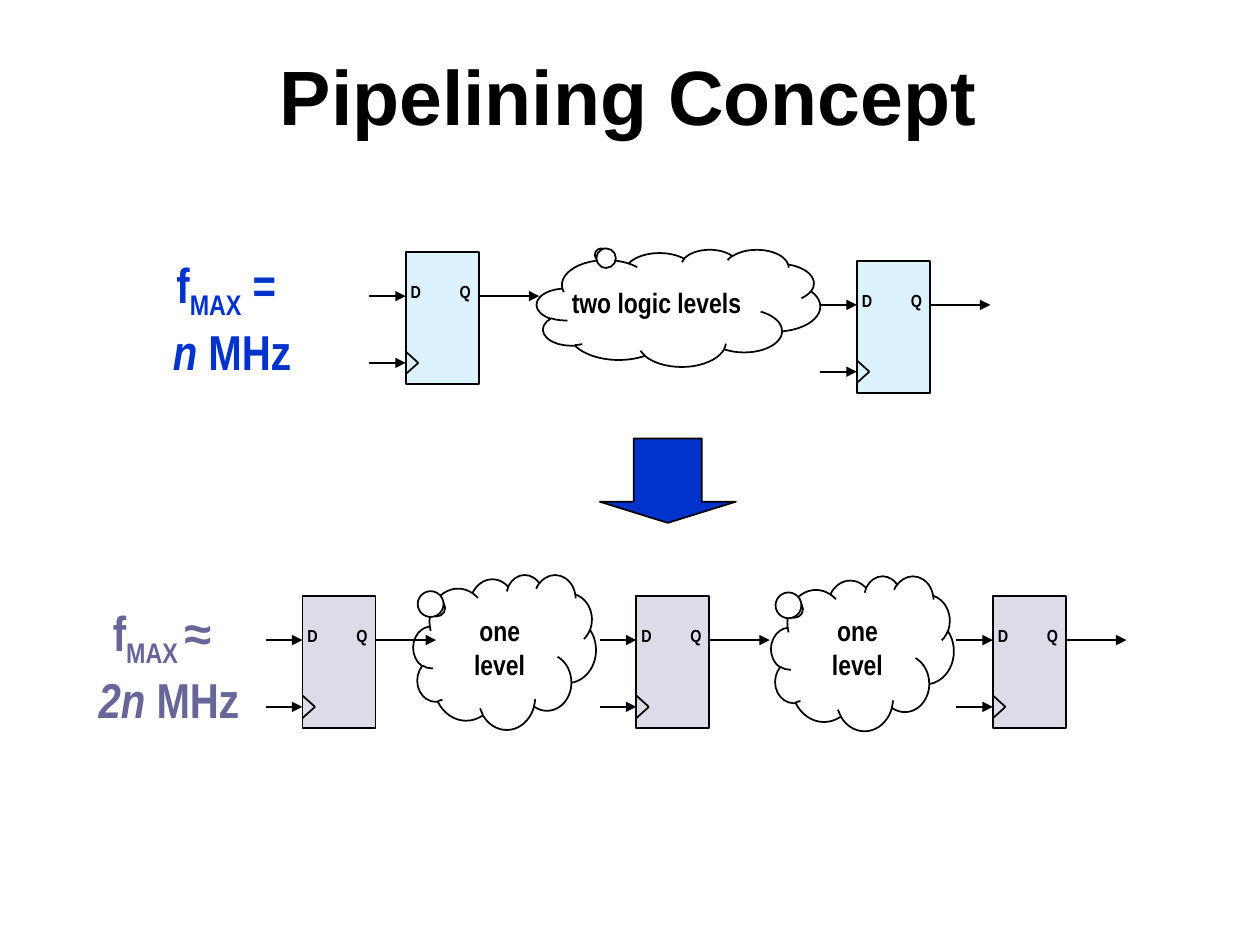
from dataclasses import dataclass

from lxml import etree
from pptx import Presentation
from pptx.dml.color import RGBColor
from pptx.enum.shapes import MSO_CONNECTOR, MSO_SHAPE
from pptx.enum.text import MSO_ANCHOR, PP_ALIGN
from pptx.oxml.ns import qn
from pptx.util import Inches, Pt

STRAIGHT = MSO_CONNECTOR.STRAIGHT
RECTANGLE = MSO_SHAPE.RECTANGLE
CLOUD = MSO_SHAPE.CLOUD_CALLOUT
DOWN_ARROW = MSO_SHAPE.DOWN_ARROW
LEFT = PP_ALIGN.LEFT
CENTER = PP_ALIGN.CENTER
TOP = MSO_ANCHOR.TOP
MIDDLE = MSO_ANCHOR.MIDDLE


@dataclass(frozen=True)
class Theme:
    """Colours, fonts and type sizes of the deck."""
    ink: str = "000000"
    paper: str = "FFFFFF"
    blue: str = "0033CC"
    violet: str = "666699"
    pale_blue: str = "DDF2FF"
    pale_violet: str = "DCDCE8"
    heading: str = "Arial"
    narrow: str = "Arial Narrow"
    title_size: int = 44
    rate_size: int = 28
    cloud_size: int = 16
    pin_size: int = 10
    line_width: int = 1


class DiagramBuilder:
    """Draws the pipeline diagram's elements on one slide."""

    def __init__(self, slide, theme):
        self.slide = slide
        self.theme = theme

    def add_span(self, para, text, size, color, font, italic=False, baseline=0):
        span = para.add_run()
        span.text = text
        span.font.size = Pt(size)
        span.font.name = font
        span.font.bold = True
        span.font.italic = italic
        span.font.color.rgb = RGBColor.from_string(color)
        if baseline:
            span.font._element.set("baseline", str(baseline * 1000))

    def add_title(self, text):
        title = self.slide.shapes.title
        title.left, title.top = Inches(0.66), Inches(0.21)
        title.width, title.height = Inches(8.66), Inches(1.08)
        title.text_frame.vertical_anchor = MIDDLE
        para = title.text_frame.paragraphs[0]
        para.alignment = CENTER
        self.add_span(para, text, self.theme.title_size, self.theme.ink, self.theme.heading)

    def add_box(self, left, top, width, height, wrap=False):
        box = self.slide.shapes.add_textbox(
            Inches(left), Inches(top), Inches(width), Inches(height))
        box.text_frame.word_wrap = wrap
        box.text_frame.vertical_anchor = TOP
        return box.text_frame

    def add_label(self, text, left, top, width, height, size, align=CENTER, wrap=False):
        para = self.add_box(left, top, width, height, wrap).paragraphs[0]
        para.alignment = align
        self.add_span(para, text, size, self.theme.ink, self.theme.narrow)

    def add_rate(self, left, top, width, color, subscript, relation, relation_font, factor):
        theme = self.theme
        frame = self.add_box(left, top, width, 1.1)
        formula, value = frame.paragraphs[0], frame.add_paragraph()
        formula.alignment = value.alignment = CENTER
        self.add_span(formula, "f", theme.rate_size, color, theme.narrow)
        self.add_span(formula, subscript, theme.rate_size, color, theme.narrow, baseline=-25)
        self.add_span(formula, relation, theme.rate_size, color, relation_font)
        self.add_span(value, factor, theme.rate_size, color, theme.narrow, italic=True)
        self.add_span(value, "MHz", theme.rate_size, color, theme.narrow)

    def add_shape(self, kind, left, top, width, height, fill, adjustments=()):
        shape = self.slide.shapes.add_shape(
            kind, Inches(left), Inches(top), Inches(width), Inches(height))
        shape.shadow.inherit = False
        shape.fill.solid()
        shape.fill.fore_color.rgb = RGBColor.from_string(fill)
        shape.line.color.rgb = RGBColor.from_string(self.theme.ink)
        shape.line.width = Pt(self.theme.line_width)
        for index, value in enumerate(adjustments):
            shape.adjustments[index] = value

    def add_line(self, x1, y1, x2, y2, arrow=False):
        line = self.slide.shapes.add_connector(
            STRAIGHT, Inches(x1), Inches(y1), Inches(x2), Inches(y2))
        line.line.color.rgb = RGBColor.from_string(self.theme.ink)
        line.line.width = Pt(self.theme.line_width)
        if arrow:
            tail = etree.SubElement(line.line._get_or_add_ln(), qn("a:tailEnd"))
            tail.set("type", "triangle")
            tail.set("w", "med")
            tail.set("len", "med")
        etree.SubElement(line._element.spPr, qn("a:effectLst"))

    def add_register(self, left, top, fill):
        right, data, clock = left + 0.58, top + 0.35, top + 0.88
        self.add_shape(RECTANGLE, left, top, 0.58, 1.05, fill)
        self.add_line(left, clock - 0.09, left + 0.1, clock)
        self.add_line(left + 0.1, clock, left, clock + 0.09)
        for name, offset in (("D", -0.06), ("Q", 0.33)):
            self.add_label(name, left + offset, top + 0.18, 0.28, 0.27, self.theme.pin_size)
        self.add_line(left - 0.29, clock, left, clock, arrow=True)
        self.add_line(left - 0.29, data, left, data, arrow=True)
        self.add_line(right, data, right + 0.48, data, arrow=True)

    def add_cloud(self, area, pointer, text, text_area, align):
        self.add_shape(CLOUD, *area, self.theme.paper, pointer)
        self.add_label(text, *text_area, self.theme.cloud_size, align, wrap=True)


def main():
    theme = Theme()
    deck = Presentation()
    deck.slide_width, deck.slide_height = Inches(10), Inches(7.5)
    page = DiagramBuilder(deck.slides.add_slide(deck.slide_layouts[5]), theme)

    page.add_title("Pipelining Concept")
    page.add_register(3.22, 2, theme.pale_blue)
    page.add_shape(DOWN_ARROW, 4.76, 3.48, 1.08, 0.67, theme.blue, (0.5, 0.25))
    page.add_rate(1.27, 1.97, 1.14, theme.blue, "MAX", " = ", theme.narrow, "n ")
    page.add_rate(0.68, 4.73, 1.32, theme.violet, "MAX ", "≈ ", theme.heading, "2n ")

    page.add_cloud((4.26, 1.98, 2.25, 0.93), (-0.27, -0.45),
                   "two logic levels", (4.44, 2.22, 1.92, 0.37), LEFT)
    for left, top in ((3.28, 4.56), (6.12, 4.57)):
        page.add_cloud((left, top, 1.45, 1.23), (-0.38, -0.29),
                       "one level", (left + 0.31, 4.82, 0.75, 0.64), CENTER)

    page.add_register(6.8, 2.07, theme.pale_blue)
    for left in (2.4, 5.05, 7.88):
        page.add_register(left, 4.73, theme.pale_violet)
    deck.save("out.pptx")


if __name__ == "__main__":
    main()
